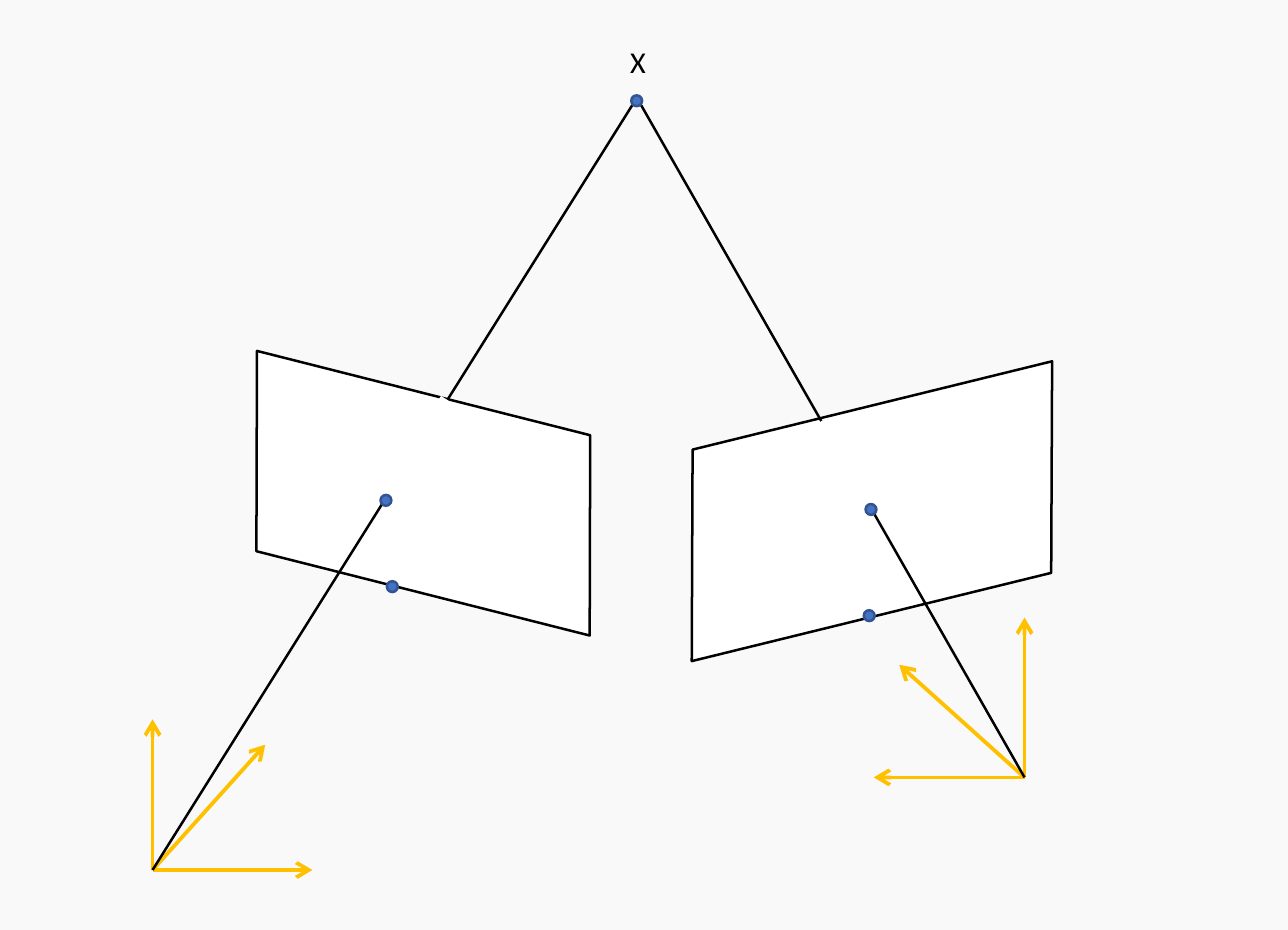
from pptx import Presentation
from pptx import util as u
from pptx.dml.color import RGBColor
from pptx.enum import shapes
from pptx.oxml.ns import qn
from lxml import etree

# The slide is a grid of 70.9 columns by 51.2 rows; all places are (column, row).
CELL = u.Inches(0.1)
COLORS = {name: RGBColor.from_string(value) for name, value in {
    "background": "F9F9F9",
    "plane": "FFFFFF",
    "ray": "000000",
    "axis": "FFC000",
    "point": "4472C4",
    "point edge": "325491",
}.items()}
POINT_SIZE = 0.6

presentation = Presentation()
presentation.slide_width = round(70.9 * CELL)
presentation.slide_height = round(51.2 * CELL)
slide = presentation.slides.add_slide(presentation.slide_layouts[6])
slide.background.fill.solid()
slide.background.fill.fore_color.rgb = COLORS["background"]


def add_line(start, end, color, width, arrow=False):
    ends = [round(value * CELL) for value in (*start, *end)]
    line = slide.shapes.add_connector(shapes.MSO_CONNECTOR.STRAIGHT, *ends)
    line.line.color.rgb = COLORS[color]
    line.line.width = u.Pt(width)
    if arrow:
        etree.SubElement(line.line._get_or_add_ln(), qn("a:tailEnd"), type="arrow")
    etree.SubElement(line._element.spPr, qn("a:effectLst"))


def add_centred(preset, center, size, fill, edge):
    left, top = (middle - length / 2 for middle, length in zip(center, size))
    box = [round(value * CELL) for value in (left, top, *size)]
    shape = slide.shapes.add_shape(preset, *box)
    shape.shadow.inherit = False
    shape.fill.solid()
    shape.fill.fore_color.rgb = COLORS[fill]
    shape.line.color.rgb = COLORS[edge]
    shape.line.width = u.Pt(1)
    return shape


cameras = [
    {
        "origin": (8.4, 47.9),
        "axes": [(8.4, 39.6), (17.2, 47.9), (14.6, 41)],
        "plane": ((23.3, 27.15), (21.6, 10.7), 194.2, True),
        "edge point": (21.6, 32.3),
        "ray end": (34.8, 5.8),
        "hidden ray": ((21.3, 27.2), (24.6, 22)),
        "image point": (21.25, 27.55),
    },
    {
        "origin": (56.4, 42.8),
        "axes": [(48.1, 42.8), (56.4, 34), (49.5, 36.6)],
        "plane": ((48, 28.15), (23.2, 11.3), 346.2, False),
        "edge point": (47.85, 33.9),
        "ray end": (35.3, 5.8),
        "hidden ray": ((48, 28.2), (45.2, 23.2)),
        "image point": (47.95, 28.05),
    },
]

points = {"size": (POINT_SIZE, POINT_SIZE), "fill": "point", "edge": "point edge"}
for camera in cameras:
    center, size, rotation, mirrored = camera["plane"]
    plane = add_centred(shapes.MSO_SHAPE.PARALLELOGRAM, center, size, "plane", "ray")
    plane.rotation = rotation
    if mirrored:
        plane._element.spPr.xfrm.set("flipH", "1")

    for tip in camera["axes"]:
        add_line(camera["origin"], tip, "axis", 1.5, arrow=True)

    add_centred(shapes.MSO_SHAPE.OVAL, camera["edge point"], **points)
    add_line(camera["origin"], camera["ray end"], "ray", 1)
    # The part of the ray behind the plane is covered in the plane's colour.
    add_line(*camera["hidden ray"], "plane", 5.5)
    add_centred(shapes.MSO_SHAPE.OVAL, camera["image point"], **points)

add_centred(shapes.MSO_SHAPE.OVAL, (35.05, 5.55), **points)

label_box = [round(value * CELL) for value in (33.7, 1.9, 5.8, 3)]
label = slide.shapes.add_textbox(*label_box)
label.text_frame.word_wrap = True
paragraph = label.text_frame.paragraphs[0]
paragraph.text = "X"
paragraph.font.name = "Calibri"
paragraph.font.size = u.Pt(12)
paragraph.font.color.rgb = COLORS["ray"]

presentation.save("out.pptx")
